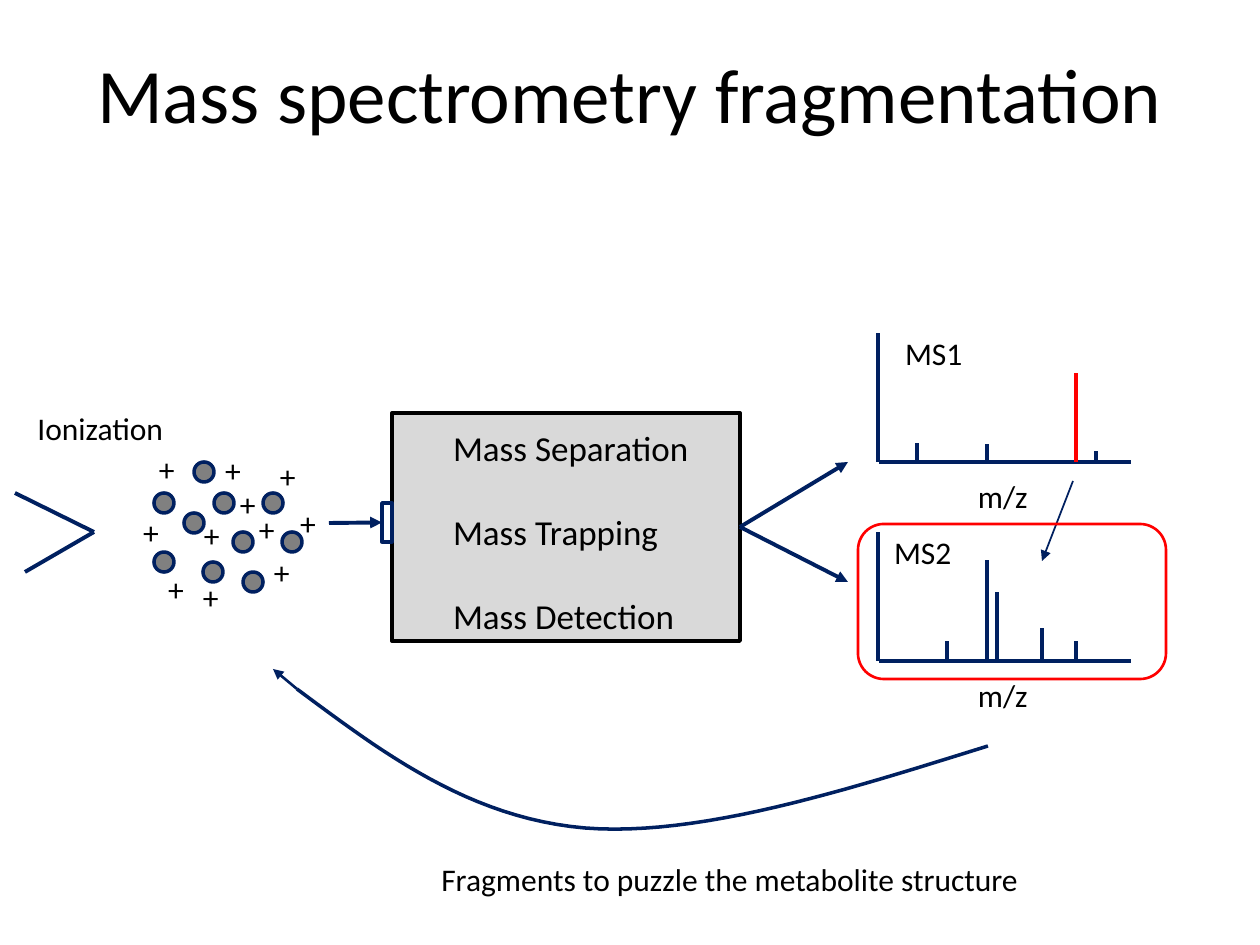
from pptx import Presentation
from pptx.dml.color import RGBColor
from pptx.enum.shapes import MSO_CONNECTOR, MSO_SHAPE
from pptx.enum.text import MSO_ANCHOR, MSO_AUTO_SIZE, PP_ALIGN
from pptx.oxml.ns import qn
from pptx.util import Emu, Pt
from lxml.etree import SubElement

SCALE = 914400 / 126  # EMU per px
BLACK = RGBColor(0x00, 0x00, 0x00)
NAVY = RGBColor(0x00, 0x20, 0x60)
RED = RGBColor(0xFF, 0x00, 0x00)
GRAY = RGBColor(0x80, 0x80, 0x80)
LIGHT_GRAY = RGBColor(0xD9, 0xD9, 0xD9)


def px(length):
    return Emu(round(length * SCALE))


class Diagram:
    """Holds the text style and the slide being drawn."""

    font_name = "Calibri"

    def __init__(self, slide):
        self.slide = slide
        self.shapes = slide.shapes

    def fill_text(self, frame, lines, size, align, gap=0):
        for index, line in enumerate(lines):
            paragraph = frame.paragraphs[0] if index == 0 else frame.add_paragraph()
            paragraph.text = line
            paragraph.alignment = align
            paragraph.space_before = Pt(gap if index else 0)
            style = {"name": self.font_name, "size": Pt(size)}
            for name, value in style.items():
                setattr(paragraph.font, name, value)
            paragraph.font.color.rgb = BLACK

    def title(self, text, *box):
        shape = self.shapes.title
        for name, value in zip(("left", "top", "width", "height"), box):
            setattr(shape, name, px(value))
        frame = shape.text_frame
        settings = {"vertical_anchor": MSO_ANCHOR.TOP, "margin_top": px(9),
                    "word_wrap": True, "auto_size": MSO_AUTO_SIZE.NONE}
        for name, value in settings.items():
            setattr(frame, name, value)
        self.fill_text(frame, [text], 44, PP_ALIGN.CENTER)

    def text(self, lines, *box, size=18, align=PP_ALIGN.LEFT, wrap=False, indent=13, gap=0):
        frame = self.shapes.add_textbox(*map(px, box)).text_frame
        settings = {"word_wrap": wrap, "margin_left": px(indent),
                    "auto_size": MSO_AUTO_SIZE.SHAPE_TO_FIT_TEXT}
        for name, value in settings.items():
            setattr(frame, name, value)
        self.fill_text(frame, lines, size, align, gap)

    def finish(self, shape, fill, color, weight):
        shape.shadow.inherit = False
        if fill is None:
            shape.fill.background()
        else:
            shape.fill.solid()
            shape.fill.fore_color.rgb = fill
        shape.line.color.rgb = color
        shape.line.width = Pt(weight)
        return shape

    def shape(self, kind, *box, fill=None, color=NAVY, weight=2):
        shape = self.shapes.add_shape(kind, *map(px, box))
        return self.finish(shape, fill, color, weight)

    def line(self, *ends, color=NAVY, weight=2.25, arrow=False):
        connector = self.shapes.add_connector(MSO_CONNECTOR.STRAIGHT, *map(px, ends))
        connector.line.color.rgb = color
        connector.line.width = Pt(weight)
        properties = connector._element.spPr
        if arrow:
            SubElement(properties.get_or_add_ln(), qn("a:tailEnd"), type="triangle")
        SubElement(properties, qn("a:effectLst"))
        return connector

    def curve(self, *segments, steps=24):
        """Draw joined cubic Bezier segments as one open outline."""
        points = []
        for a, b, c, d in segments:
            for step in range(steps + 1):
                t = step / steps
                u = 1 - t
                points.append(tuple(
                    px(u**3 * p + 3 * u * u * t * q + 3 * u * t * t * r + t**3 * s)
                    for p, q, r, s in zip(a, b, c, d)))
        builder = self.shapes.build_freeform(*points[0])
        builder.add_line_segments(points[1:], close=False)
        self.finish(builder.convert_to_shape(), None, NAVY, 2)

    def spectrum(self, name, name_left, name_top, baseline, peaks):
        self.line(879, baseline, 1131, baseline)
        self.line(878, baseline, 878, baseline - 129)
        for x, height, color in peaks:
            self.line(x, baseline, x, baseline - height, color=color)
        self.text(["m/z"], 965, baseline + 9, 76, 50)
        self.text([name], name_left, name_top, 83, 50)


def main():
    presentation = Presentation()
    presentation.slide_width, presentation.slide_height = px(1260), px(945)
    slide = presentation.slides.add_slide(presentation.slide_layouts[5])
    diagram = Diagram(slide)
    diagram.title("Mass spectrometry fragmentation", 63, 38, 1134, 158)

    # Mass analyser
    analyser = diagram.shape(MSO_SHAPE.RECTANGLE, 392, 413, 348, 228,
                             fill=LIGHT_GRAY, color=BLACK, weight=2.25)
    diagram.text(["Mass Separation", "Mass Trapping", "Mass Detection"],
                 393, 420, 348, 224, size=20, wrap=True, indent=60, gap=24)

    # Ion source with charged particles
    diagram.line(15, 493, 94, 532)
    diagram.line(94, 532, 25, 572)
    for left, top in [(194, 462), (214, 493), (184, 513), (233, 532), (203, 562),
                      (243, 572), (263, 493), (282, 532), (154, 552), (154, 493)]:
        diagram.shape(MSO_SHAPE.OVAL, left, top, 20, 20, fill=GRAY)
    for left, top in [(155, 564), (212, 445), (146, 444), (267, 451), (261, 547), (130, 507),
                      (191, 510), (227, 479), (287, 498), (246, 504), (190, 572)]:
        diagram.text(["+"], left, top, 42, 50)
    diagram.text(["Ionization"], 24, 403, 152, 50, align=PP_ALIGN.CENTER)

    # Inlet and outlets
    inlet = diagram.shape(MSO_SHAPE.RECTANGLE, 382, 503, 10, 39)
    diagram.line(329, 523, 382, 522, arrow=True).end_connect(inlet, 1)
    for end_y in (462, 582):
        diagram.line(740, 527, 848, end_y, arrow=True).begin_connect(analyser, 3)

    # Spectra
    diagram.spectrum("MS1", 892, 328, 462, [
        (1076, 89, RED), (987, 18, NAVY), (1096, 11, NAVY), (917, 19, NAVY)])
    diagram.spectrum("MS2", 881, 527, 661, [
        (1076, 20, NAVY), (987, 101, NAVY), (947, 20, NAVY), (997, 69, NAVY), (1042, 33, NAVY)])
    diagram.line(1073, 481, 1042, 561, weight=1, arrow=True)
    diagram.shape(MSO_SHAPE.ROUNDED_RECTANGLE, 858, 524, 308, 155, color=RED, weight=1.5)

    # Return path of the fragments
    diagram.curve([(988, 746), (844, 791), (699, 837), (585, 828)],
                  [(585, 828), (469, 818), (383, 753), (297, 689)])
    diagram.line(297, 689, 273, 669, weight=1.5, arrow=True)
    diagram.text(["Fragments to puzzle the metabolite structure"],
                 425, 854, 609, 50, align=PP_ALIGN.CENTER)

    presentation.save("out.pptx")


if __name__ == "__main__":
    main()
